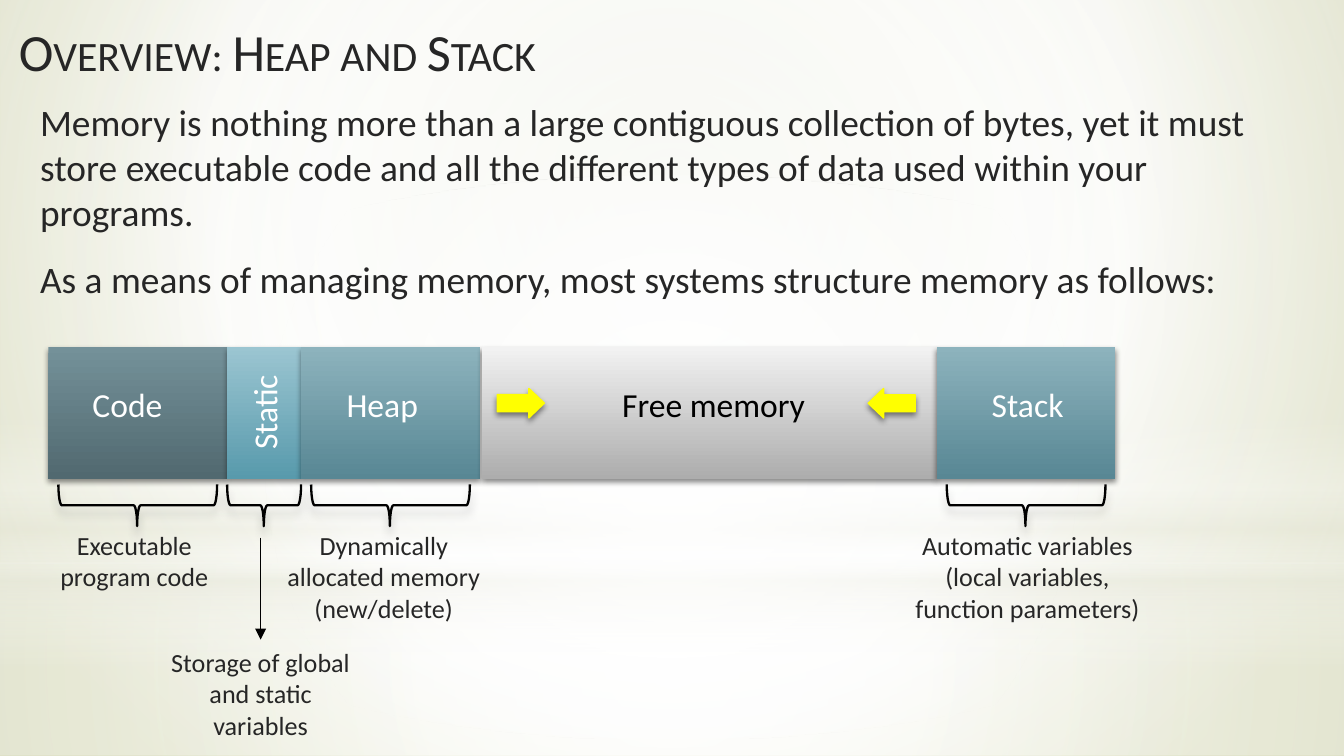
from dataclasses import dataclass
from typing import Optional

import pptx
import pptx.dml.color
import pptx.enum.shapes
import pptx.enum.text
import pptx.oxml
import pptx.oxml.ns
import pptx.util

Pt = pptx.util.Pt
RGBColor = pptx.dml.color.RGBColor
Shape = pptx.enum.shapes.MSO_SHAPE
Align = pptx.enum.text.PP_ALIGN
Anchor = pptx.enum.text.MSO_ANCHOR
qn = pptx.oxml.ns.qn

FONT = "Calibri"
INK = RGBColor(0x26, 0x26, 0x26)
BLACK = RGBColor(0, 0, 0)
WHITE = RGBColor(0xFF, 0xFF, 0xFF)
YELLOW = RGBColor(0xFF, 0xFF, 0)
CREAM = RGBColor(0xEA, 0xEB, 0xDE)
PALE_OLIVE = RGBColor(0xE3, 0xE5, 0xD1)
OLIVE = RGBColor(0xCC, 0xD0, 0x9F)
SLATE = (RGBColor(0x74, 0x91, 0x99), RGBColor(0x51, 0x69, 0x70))
SKY = (RGBColor(0x9B, 0xC5, 0xD1), RGBColor(0x58, 0x9A, 0xAC))
TEAL = (RGBColor(0x8D, 0xB3, 0xBD), RGBColor(0x58, 0x87, 0x94))
GREY = (RGBColor(0xF2, 0xF2, 0xF2), RGBColor(0xAD, 0xAD, 0xAD))

BAR_TOP, BAR_HEIGHT = 185.8, 70.6
BRACE_DEPTH, BRACE_MIDDLE = 22.3, 270.7
CENTRE = (50, 50, 50, 50)


@dataclass(frozen=True)
class Frame:
    left: float
    top: float
    width: float
    height: float

    def lengths(self) -> tuple:
        return Pt(self.left), Pt(self.top), Pt(self.width), Pt(self.height)


@dataclass(frozen=True)
class Stop:
    position: int
    color: RGBColor
    opacity: int = 100


@dataclass(frozen=True)
class Backdrop:
    kind: Shape
    frame: Frame
    stops: tuple[Stop, ...]
    focus: Optional[tuple] = CENTRE


@dataclass(frozen=True)
class Shadow:
    opacity: int
    blur: float
    distance: float


@dataclass(frozen=True)
class Segment:
    name: str
    left: float
    width: float
    colors: tuple
    name_left: float
    name_width: float = 62.6
    name_color: RGBColor = WHITE
    rotation: int = 0
    brace_length: float = 0


@dataclass(frozen=True)
class Caption:
    text: str
    frame: Frame


BAR_SHADOW = Shadow(45, 3.1, 1.8)
BRACE_SHADOW = Shadow(20, 5, 4)

BACKDROPS = (
    Backdrop(Shape.RECTANGLE, Frame(0, 301.7, 720, 103.3),
             (Stop(0, WHITE, 91), Stop(37, WHITE, 76), Stop(100, CREAM, 79))),
    Backdrop(Shape.RECTANGLE, Frame(0, 0, 720, 301.7),
             (Stop(0, WHITE, 89), Stop(48, WHITE, 62), Stop(100, CREAM, 79))),
    Backdrop(Shape.RECTANGLE, Frame(0, 222.5, 720, 135.4),
             (Stop(0, WHITE, 0), Stop(29, WHITE, 30), Stop(45, CREAM, 40),
              Stop(55, WHITE, 26), Stop(65, CREAM, 60), Stop(100, WHITE, 0)), None),
    Backdrop(Shape.OVAL, Frame(0, 94.3, 720, 301.7), (Stop(0, WHITE), Stop(56, WHITE, 0))),
)
SEGMENTS = (
    Segment("Code", 25.9, 95.8, SLATE, 42.5, brace_length=85),
    Segment("Static", 121.7, 39.6, SKY, 110.2, rotation=270, brace_length=39.6),
    Segment("Heap", 161.3, 95.8, TEAL, 178.6, brace_length=85),
    Segment("Free memory", 258.2, 243.6, GREY, 326.2, 128.9, BLACK),
    Segment("Stack", 501.8, 95.8, TEAL, 524.2, brace_length=85),
)
STATIC_CAPTION = Caption("Storage of global and static variables", Frame(83.5, 342.7, 112.3, 58.3))
CAPTIONS = (
    Caption("Executable program code", Frame(25.2, 280, 93.6, 41)),
    Caption("Dynamically allocated memory (new/delete)", Frame(139, 280, 133.2, 58.3)),
    Caption("Automatic variables (local variables, function parameters)",
            Frame(478.8, 280, 143.3, 58.3)),
)
BODY = (
    "Memory is nothing more than a large contiguous collection of bytes, yet it must store "
    "executable code and all the different types of data used within your programs.",
    "As a means of managing memory, most systems structure memory as follows:",
)


def put_gradient(parent, stops: tuple[Stop, ...], focus: Optional[tuple] = None) -> None:
    marks = "".join(
        f'<a:gs pos="{stop.position * 1000}"><a:srgbClr val="{stop.color}">'
        f'<a:alpha val="{stop.opacity * 1000}"/></a:srgbClr></a:gs>' for stop in stops)
    course = '<a:lin ang="5400000" scaled="0"/>'
    if focus:
        sides = " ".join(f'{side}="{share * 1000}"' for side, share in zip("ltrb", focus))
        course = f'<a:path path="circle"><a:fillToRect {sides}/></a:path>'
    gradient = pptx.oxml.parse_xml(
        f'<a:gradFill {pptx.oxml.ns.nsdecls("a")} rotWithShape="1">'
        f'<a:gsLst>{marks}</a:gsLst>{course}</a:gradFill>')
    parent.replace(parent.find(qn("a:solidFill")), gradient)


def add_shape(page, kind: Shape, frame: Frame, shadow: Optional[Shadow] = None):
    shape = page.shapes.add_shape(kind, *frame.lengths())
    shape.shadow.inherit = False
    shape.line.fill.background()
    shape.fill.solid()
    if shadow:
        effects = shape._element.spPr.find(qn("a:effectLst"))
        effects.append(pptx.oxml.parse_xml(
            f'<a:outerShdw {pptx.oxml.ns.nsdecls("a")} blurRad="{Pt(shadow.blur)}" '
            f'dist="{Pt(shadow.distance)}" dir="5400000" rotWithShape="0">'
            f'<a:srgbClr val="{BLACK}"><a:alpha val="{shadow.opacity * 1000}"/>'
            '</a:srgbClr></a:outerShdw>'))
    return shape


def add_span(para, text: str, size: float, color: RGBColor):
    span = para.add_run()
    span.text = text
    span.font.name = FONT
    span.font.size = Pt(size)
    span.font.color.rgb = color
    return span


def add_text(page, frame: Frame, texts: tuple, size: float, color: RGBColor = INK,
             align: Align = Align.LEFT):
    box = page.shapes.add_textbox(*frame.lengths())
    box.text_frame.word_wrap = True
    for index, text in enumerate(texts):
        para = box.text_frame.add_paragraph() if index else box.text_frame.paragraphs[0]
        para.alignment = align
        if index:
            para.space_before = Pt(12)
        add_span(para, text, size, color)
    return box


def add_caption(page, caption: Caption):
    return add_text(page, caption.frame, (caption.text,), 14, align=Align.CENTER)


def add_backdrop(page, backdrop: Backdrop) -> None:
    shape = add_shape(page, backdrop.kind, backdrop.frame)
    put_gradient(shape._element.spPr, backdrop.stops, backdrop.focus)


def add_segment(page, segment: Segment) -> None:
    block = add_shape(page, Shape.RECTANGLE,
                      Frame(segment.left, BAR_TOP, segment.width, BAR_HEIGHT), BAR_SHADOW)
    put_gradient(block._element.spPr, (Stop(0, segment.colors[0]), Stop(100, segment.colors[1])))
    if segment.brace_length:
        middle = segment.left + segment.width / 2
        brace = add_shape(page, Shape.LEFT_BRACE,
                          Frame(middle - BRACE_DEPTH / 2, BRACE_MIDDLE - segment.brace_length / 2,
                                BRACE_DEPTH, segment.brace_length), BRACE_SHADOW)
        brace.rotation = 270
        brace.adjustments[1] = 0.496
        brace.fill.background()
        brace.line.color.rgb = BLACK
        brace.line.width = Pt(1.25)


def add_name(page, segment: Segment) -> None:
    name = add_text(page, Frame(segment.name_left, 202.3, segment.name_width, 28.8),
                    (segment.name,), 18, segment.name_color)
    name.rotation = segment.rotation


def add_growth_arrow(page, left: float, rotation: int) -> None:
    arrow = add_shape(page, Shape.RIGHT_ARROW, Frame(left, 208.1, 25.2, 15.8), BAR_SHADOW)
    arrow.rotation = rotation
    arrow.adjustments[0] = 0.577
    arrow.adjustments[1] = 0.522
    arrow.fill.fore_color.rgb = YELLOW
    arrow.line.color.rgb = YELLOW
    arrow.line.width = Pt(0.75)


def add_pointer(page, target) -> None:
    middle = target.left + target.width // 2
    pointer = page.shapes.add_connector(pptx.enum.shapes.MSO_CONNECTOR.STRAIGHT,
                                        middle, Pt(288), middle, target.top)
    pointer.end_connect(target, 0)
    pointer.line.color.rgb = BLACK
    pointer.line.width = Pt(0.75)
    pointer.line._get_or_add_ln().append(pptx.oxml.parse_xml(
        f'<a:tailEnd {pptx.oxml.ns.nsdecls("a")} type="triangle"/>'))
    pointer._element.spPr.append(pptx.oxml.parse_xml(
        f'<a:effectLst {pptx.oxml.ns.nsdecls("a")}/>'))


def place_title(page, text: str) -> None:
    title = page.shapes.title
    title.left, title.top, title.width, title.height = Frame(2.9, 4.3, 566.6, 45.4).lengths()
    title.text_frame.vertical_anchor = Anchor.MIDDLE
    para = title.text_frame.paragraphs[0]
    para.alignment = Align.LEFT
    span = add_span(para, text, 28, INK)
    span.font._element.set("cap", "small")
    page.shapes._spTree.append(title._element)


def main() -> None:
    deck = pptx.Presentation()
    deck.slide_width, deck.slide_height = Pt(720), Pt(405)
    page = deck.slides.add_slide(deck.slide_layouts[5])
    page.background.fill.solid()
    put_gradient(page._element.cSld.bg.bgPr,
                 (Stop(0, PALE_OLIVE), Stop(60, WHITE), Stop(100, OLIVE)), (20, 10, 20, 60))
    for backdrop in BACKDROPS:
        add_backdrop(page, backdrop)
    place_title(page, "Overview: Heap and Stack")
    add_text(page, Frame(14.4, 49.7, 674.6, 116.6), BODY, 20)
    for segment in SEGMENTS:
        add_segment(page, segment)
    add_growth_arrow(page, 266.4, 0)
    add_growth_arrow(page, 465.1, 180)
    for segment in SEGMENTS:
        add_name(page, segment)
    for caption in CAPTIONS:
        add_caption(page, caption)
    add_pointer(page, add_caption(page, STATIC_CAPTION))
    deck.save("out.pptx")


if __name__ == "__main__":
    main()
